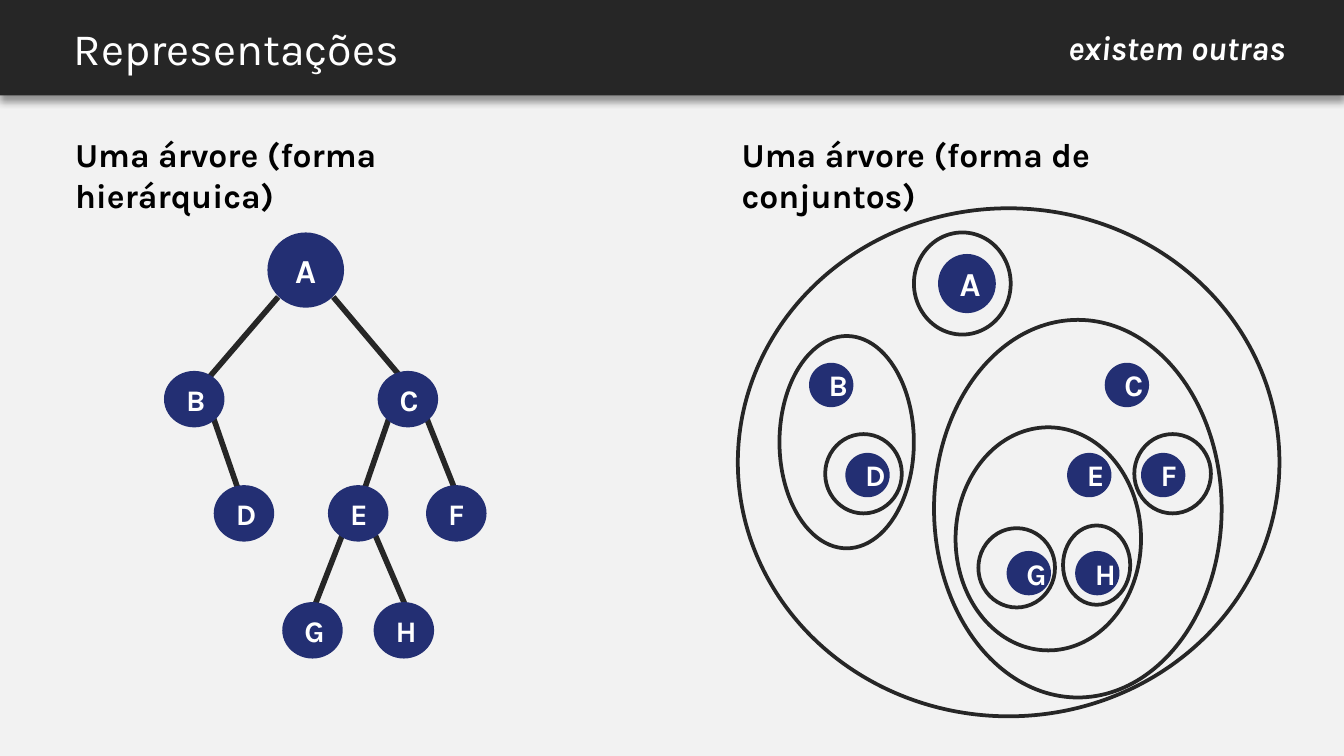
from lxml import etree
from pptx import Presentation
from pptx import util as u
from pptx.dml.color import RGBColor
from pptx.enum import shapes, text
from pptx.oxml import ns

WIDTH = u.Inches(10)
HEIGHT = WIDTH * 9 // 16
CELL = WIDTH / 1000  # the slide is a grid of 1000 columns of square cells
FONT = "Karla"
DARK, NAVY, PAPER, WHITE, BLACK = "262626", "232F73", "F2F2F2", "FFFFFF", "000000"

# Regions: column, row, columns, rows
HEADER = (0, -5, 1000, 76)
TREE = (46, 95, 392, 395)
SETS = (542, 95, 410, 438)

# Tree: row of each level, with the column of each node
TREE_LEVELS = {
    181: {"B": 76, "C": 235},
    266: {"D": 113, "E": 198, "F": 271},
    353: {"G": 164, "H": 232},
}
TREE_EDGES = {
    "AB": (161, 126, 100, 197),
    "AC": (202, 126, 262, 197),
    "BD": (108, 202, 136, 283),
    "CE": (248, 203, 220, 284),
    "CF": (267, 205, 298, 283),
    "EG": (213, 292, 183, 369),
    "EH": (228, 291, 261, 368),
}
SET_LEVELS = {
    175: {"B": 60, "C": 280},
    242: {"D": 87, "E": 252, "F": 307},
    315: {"G": 207, "H": 258},
}
SET_RINGS = {
    "all": (7, 60, 403, 378),
    "A": (138, 78, 72, 76),
    "B": (38, 155, 100, 158),
    "C": (153, 143, 214, 281),
    "D": (72, 228, 57, 59),
    "E": (169, 223, 138, 166),
    "F": (302, 228, 57, 59),
    "G": (186, 298, 57, 59),
    "H": (249, 296, 50, 59),
}


def color(value):
    return RGBColor.from_string(value)


def place(region, cells):
    """Lengths of a box, or the position of a point, given in cells of a region."""
    left, top, *rest = cells
    return [round(n * CELL) for n in (region[0] + left, region[1] + top, *rest)]


def write(frame, words, size, ink, align=text.PP_ALIGN.LEFT, bold=True, italic=False):
    frame.word_wrap = True
    frame.text = words
    paragraph = frame.paragraphs[0]
    paragraph.alignment = align
    font = paragraph.runs[0].font
    font.name, font.size = FONT, u.Pt(size)
    font.bold, font.italic = bold, italic
    font.color.rgb = color(ink)


def add_label(parts, region, cells, words, **style):
    label = parts.add_textbox(*place(region, cells))
    write(label.text_frame, words, 18, **style)


def add_node(parts, region, cells, letter, size):
    node = parts.add_shape(shapes.MSO_SHAPE.OVAL, *place(region, cells))
    node.shadow.inherit = False
    node.fill.solid()
    node.fill.fore_color.rgb = color(NAVY)
    node.line.fill.background()
    node.text_frame.vertical_anchor = text.MSO_ANCHOR.MIDDLE
    write(node.text_frame, letter, size, WHITE, text.PP_ALIGN.CENTER)


def add_nodes(parts, region, root, levels, size):
    """Root A in its own box, then every level with nodes of one size."""
    add_node(parts, region, root, "A", 18)
    for row, level in levels.items():
        for letter, column in level.items():
            add_node(parts, region, (column, row, *size), letter, 16)


def add_ring(parts, region, cells):
    ring = parts.add_shape(shapes.MSO_SHAPE.OVAL, *place(region, cells))
    ring.shadow.inherit = False
    ring.fill.background()
    ring.line.color.rgb = color(DARK)
    ring.line.width = u.Pt(2)


def add_edge(parts, region, ends):
    start, end = place(region, ends[:2]), place(region, ends[2:])
    edge = parts.add_connector(shapes.MSO_CONNECTOR.STRAIGHT, *start, *end)
    edge.line.color.rgb = color(DARK)
    edge.line.width = u.Pt(3)
    etree.SubElement(edge._element.spPr, ns.qn("a:effectLst"))


def add_drop_shadow(shape):
    effects = etree.SubElement(shape._element.spPr, ns.qn("a:effectLst"))
    shadow = etree.SubElement(effects, ns.qn("a:outerShdw"), blurRad=str(u.Pt(4)),
                              dist=str(u.Pt(3)), dir="5400000", algn="t", rotWithShape="0")
    ink = etree.SubElement(shadow, ns.qn("a:srgbClr"), val=BLACK)
    etree.SubElement(ink, ns.qn("a:alpha"), val="40000")


def build_header(slide, region):
    bar = slide.shapes.add_shape(shapes.MSO_SHAPE.RECTANGLE, *place(region, (0, 0, *region[2:])))
    bar.fill.solid()
    bar.fill.fore_color.rgb = color(DARK)
    bar.line.fill.background()
    add_drop_shadow(bar)

    title = slide.shapes.title
    title._element.addprevious(bar._element)
    title.left, title.top, title.width, title.height = place(region, (45, 5, 905, 71))
    frame = title.text_frame
    frame.auto_size = text.MSO_AUTO_SIZE.NONE
    frame.vertical_anchor = text.MSO_ANCHOR.MIDDLE
    frame.margin_left = frame.margin_right = u.Inches(0.1)
    frame.margin_top = frame.margin_bottom = u.Inches(0.1)
    write(frame, "Representações", 24, WHITE, bold=False)

    add_label(slide.shapes, region, (705, 20, 261, 40), "existem outras",
              ink=WHITE, align=text.PP_ALIGN.RIGHT, italic=True)


def build_sets(slide, region):
    parts = slide.shapes.add_group_shape().shapes
    add_label(parts, region, (0, 0, region[2], 40), "Uma árvore (forma de conjuntos)", ink=BLACK)
    add_nodes(parts, region, (156, 94, 43, 44), SET_LEVELS, (33, 33))
    for cells in SET_RINGS.values():
        add_ring(parts, region, cells)


def build_tree(slide, region):
    parts = slide.shapes.add_group_shape().shapes
    add_label(parts, region, (0, 0, region[2], 40), "Uma árvore (forma hierárquica)", ink=BLACK)
    for ends in TREE_EDGES.values():
        add_edge(parts, region, ends)
    add_nodes(parts, region, (153, 78, 57, 56), TREE_LEVELS, (45, 42))


def main():
    deck = Presentation()
    deck.slide_width, deck.slide_height = WIDTH, HEIGHT
    slide = deck.slides.add_slide(deck.slide_layouts.get_by_name("Title Only"))
    slide.background.fill.solid()
    slide.background.fill.fore_color.rgb = color(PAPER)
    build_header(slide, HEADER)
    build_sets(slide, SETS)
    build_tree(slide, TREE)
    deck.save("out.pptx")


if __name__ == "__main__":
    main()
